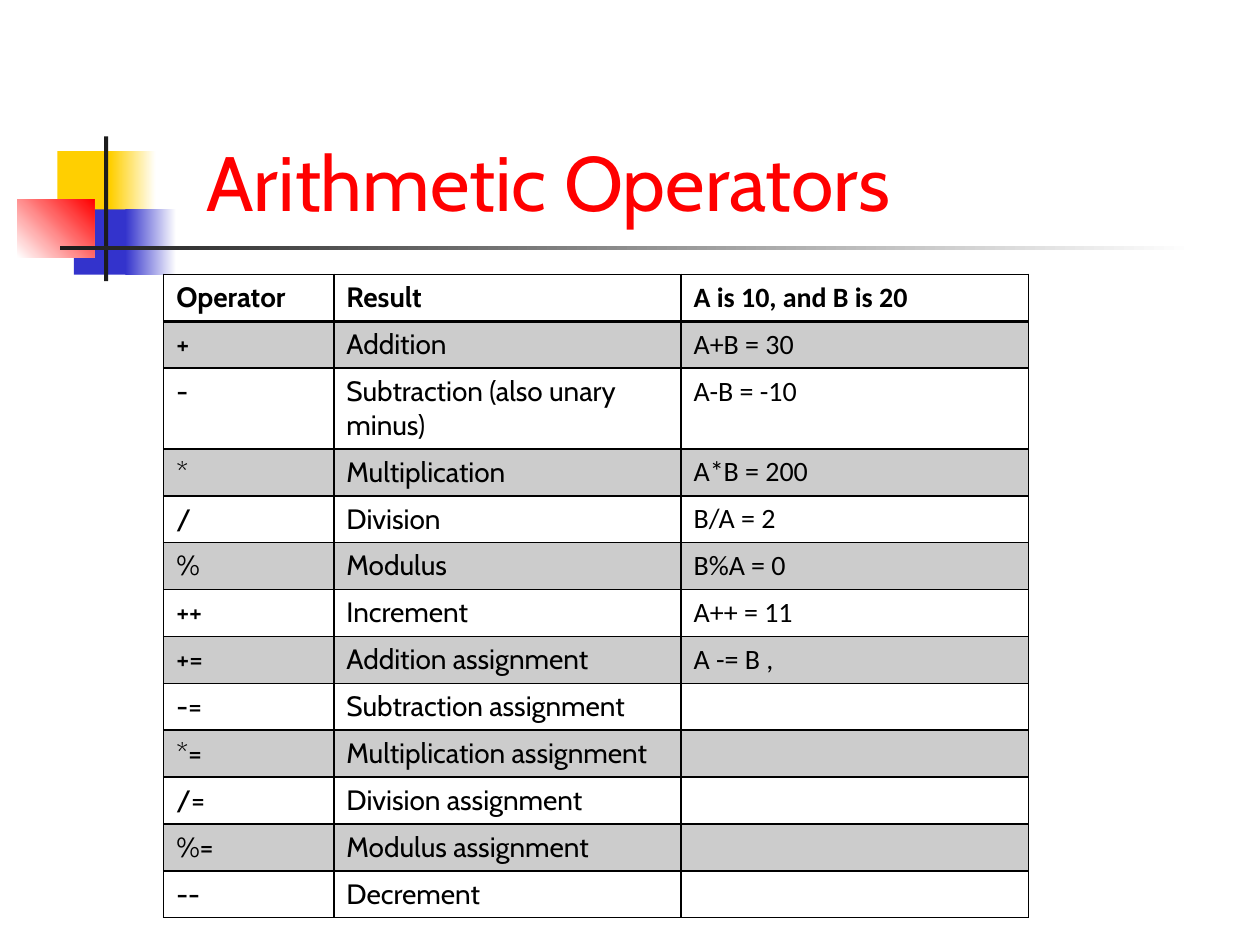
from lxml.etree import SubElement as Sub
from pptx import Presentation as Deck
from pptx.dml.color import RGBColor as Rgb
from pptx.enum.shapes import MSO_SHAPE as Kind
from pptx.enum.text import MSO_ANCHOR as Anchor, PP_ALIGN as Align
from pptx.oxml.ns import qn
from pptx.util import Cm, Pt

BLACK = Rgb(0, 0, 0)
WHITE = Rgb(255, 255, 255)
RED = Rgb(255, 0, 0)
GOLD = Rgb(0xFF, 0xCF, 0x01)
BLUE = Rgb(0x33, 0x33, 0xCC)
DARK = Rgb(0x1C, 0x1C, 0x1C)

ROWS = [
    ("Operator", "Result", "A is 10, and B is 20"),
    ("+", "Addition", "A+B = 30"),
    ("-", "Subtraction (also unary minus)", "A-B = -10"),
    ("*", "Multiplication", "A*B = 200"),
    ("/", "Division", "B/A = 2"),
    ("%", "Modulus", "B%A = 0"),
    ("++", "Increment", "A++ = 11"),
    ("+=", "Addition assignment", "A -= B ,"),
    ("-=", "Subtraction assignment", ""),
    ("*=", "Multiplication assignment", ""),
    ("/=", "Division assignment", ""),
    ("%=", "Modulus assignment", ""),
    ("--", "Decrement", ""),
]
FONTS = ("Cabin", "Cabin", "Calibri")
WIDTHS = (3.43, 7, 7)
HIGH, TALL = 0.94, 1.63


def write(frame, text, size=16, font="Cabin", color=BLACK, bold=False):
    para = frame.paragraphs[0]
    para.alignment = Align.LEFT
    if not text:
        end = Sub(para._p, qn("a:endParaRPr"))
        end.set("sz", str(size * 100))
        return
    run = para.add_run()
    run.text = text
    run.font.size = Pt(size)
    run.font.name = font
    run.font.color.rgb = color
    run.font.bold = bold


def block(slide, box, first, last=None, angle=0):
    shape = slide.shapes.add_shape(Kind.RECTANGLE, *map(Cm, box))
    shape.shadow.inherit = False
    shape.line.fill.background()
    if last is None:
        shape.fill.solid()
        shape.fill.fore_color.rgb = first
        return
    shape.fill.gradient()
    shape.fill.gradient_angle = angle
    for stop, color, place in zip(shape.fill.gradient_stops, (first, last), (0, 1)):
        stop.color.rgb = color
        stop.position = place


def motif(slide, left, top):
    parts = [
        (0.81, 0.3, 1.22, 1.32, GOLD),
        (1.88, 0.3, 0.91, 1.32, GOLD, WHITE),
        (1.14, 1.47, 1.17, 1.32, BLUE),
        (2.18, 1.47, 1.02, 1.32, BLUE, WHITE),
        (0, 1.27, 1.55, 1.17, WHITE, RED, 45),
        (1.75, 0, 0.08, 2.92, DARK),
        (0.86, 2.2, 22.86, 0.09, DARK, WHITE),
    ]
    for x, y, wide, high, *look in parts:
        block(slide, (left + x, top + y, wide, high), *look)


def head(slide, left, top, wide, high):
    title = slide.shapes.title
    title.left, title.top = Cm(left), Cm(top)
    title.width, title.height = Cm(wide), Cm(high)
    title.text_frame.vertical_anchor = Anchor.BOTTOM
    write(title.text_frame, "Arithmetic Operators", size=44, color=RED)
    tree = title.element.getparent()
    tree.append(title.element)


def edge(cell, base):
    props = cell._tc.get_or_add_tcPr()
    for spot, side in enumerate("LRTB"):
        line = Sub(props, qn("a:ln" + side))
        line.set("w", str(Pt(base if side == "B" else 1)))
        fill = Sub(line, qn("a:solidFill"))
        Sub(fill, qn("a:srgbClr")).set("val", str(BLACK))
        props.insert(spot, line)


def shade(cell, band):
    if not band:
        cell.fill.background()
        return
    cell.fill.solid()
    cell.fill.fore_color.rgb = BLACK
    tint = cell._tc.tcPr.find(".//" + qn("a:srgbClr"))
    Sub(tint, qn("a:alpha")).set("val", "20000")


def grid(slide, left, top):
    highs = [TALL if "unary" in row[1] else HIGH for row in ROWS]
    size = (sum(WIDTHS), sum(highs))
    table = slide.shapes.add_table(
        len(ROWS), len(WIDTHS), *map(Cm, (left, top, *size))).table
    table.first_row = table.horz_banding = False
    for col, wide in zip(table.columns, WIDTHS):
        col.width = Cm(wide)
    for i, texts in enumerate(ROWS):
        table.rows[i].height = Cm(highs[i])
        for j, text in enumerate(texts):
            cell = table.cell(i, j)
            shade(cell, i % 2)
            edge(cell, 1 if i else 2)
            write(cell.text_frame, text, font=FONTS[j], bold=i == 0)


def main():
    deck = Deck()
    deck.slide_width, deck.slide_height = Cm(25.4), Cm(19.05)
    slide = deck.slides.add_slide(deck.slide_layouts[5])
    motif(slide, 0.35, 2.75)
    head(slide, 3.91, 1.52, 18.62, 3.18)
    grid(slide, 3.3, 5.53)
    deck.save("out.pptx")


main()
